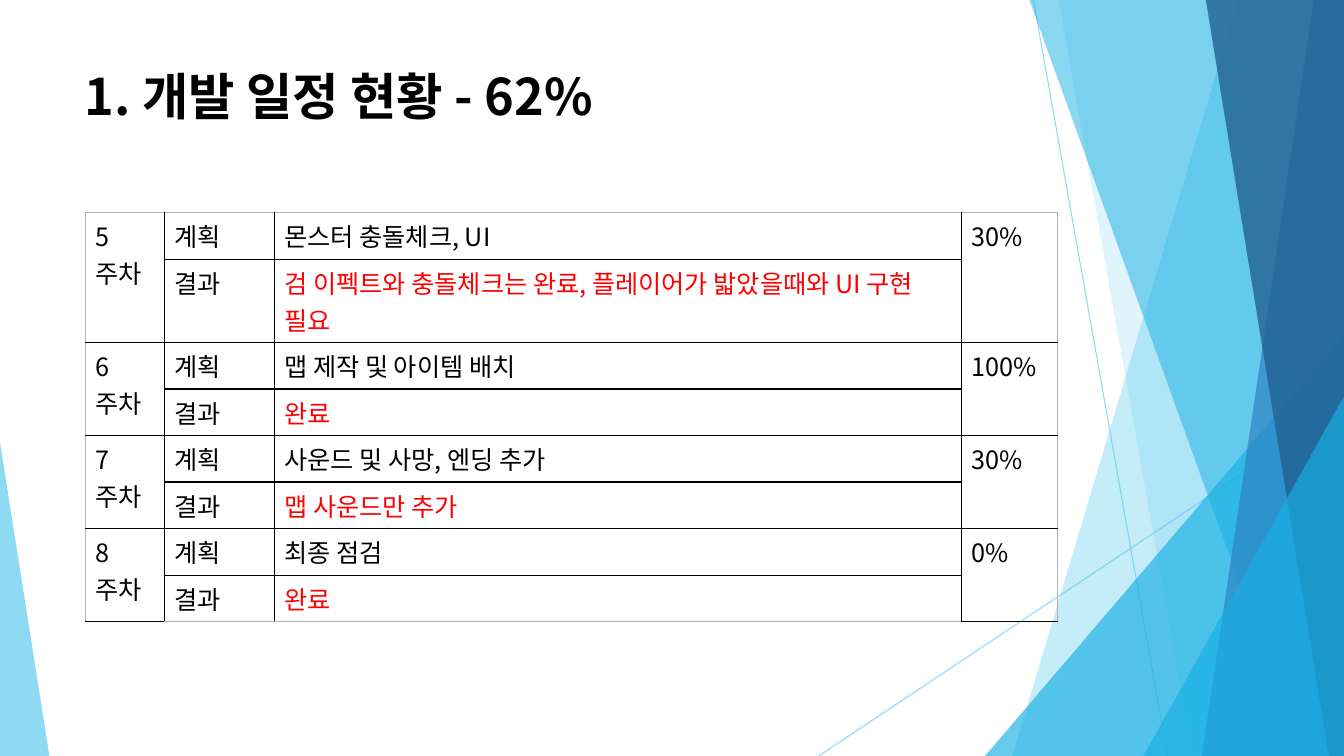
from dataclasses import dataclass

from lxml import etree
from pptx import Presentation
from pptx import util as u
from pptx.dml.color import RGBColor
from pptx.enum import shapes, text
from pptx.oxml import ns


@dataclass(frozen=True)
class Theme:
    font: str = "Noto Sans CJK KR"
    black: str = "000000"
    red: str = "FF0000"
    edge: str = "B2B2B2"
    sky: str = "5FCBEF"
    cyan: str = "17B0E4"
    blue: str = "2E83C3"
    navy: str = "226292"
    title: int = 36
    body: int = 18


T = Theme()
WIDTH, HEIGHT = 13.33, 7.5
COLUMNS = (0.78, 1.09, 6.82, 0.95)
ROW, TALL_ROW = 0.46, 0.82
WEEKS = (
    ("5주차", "몬스터 충돌체크, UI", "검 이펙트와 충돌체크는 완료, 플레이어가 밟았을때와 UI 구현 필요", "30%"),
    ("6주차", "맵 제작 및 아이템 배치", "완료", "100%"),
    ("7주차", "사운드 및 사망, 엔딩 추가", "맵 사운드만 추가", "30%"),
    ("8주차", "최종 점검", "완료", "0%"),
)


def set_alpha(sp, percent):
    color = sp._element.spPr.find(".//" + ns.qn("a:srgbClr"))
    etree.SubElement(color, ns.qn("a:alpha"), val=str(percent * 1000))


def paint(sp, color, percent):
    sp.shadow.inherit = False
    sp.fill.solid()
    sp.fill.fore_color.rgb = RGBColor.from_string(color)
    sp.line.fill.background()
    set_alpha(sp, percent)


def add_ray(s, *ends):
    c = s.shapes.add_connector(shapes.MSO_CONNECTOR.STRAIGHT, *map(u.Inches, ends))
    c.line.color.rgb = RGBColor.from_string(T.sky)
    c.line.width = u.Pt(0.75)
    set_alpha(c, 70)
    etree.SubElement(c._element.spPr, ns.qn("a:effectLst"))


def add_band(s, top_x, bottom_x, color, percent):
    corners = [(top_x, 0), (WIDTH, 0), (WIDTH, HEIGHT), (bottom_x, HEIGHT)]
    points = [(u.Inches(x), u.Inches(y)) for x, y in corners]
    builder = s.shapes.build_freeform(*points[0], scale=1.0)
    builder.add_line_segments(points[1:], close=True)
    paint(builder.convert_to_shape(), color, percent)


def add_wedge(s, left, top, width, apex, color, percent):
    box = map(u.Inches, (left, top, width, HEIGHT - top))
    sp = s.shapes.add_shape(shapes.MSO_SHAPE.ISOSCELES_TRIANGLE, *box)
    sp.adjustments[0] = apex
    paint(sp, color, percent)


def write(tf, words, size, color, bold=False):
    p = tf.paragraphs[0]
    r = p.add_run()
    r.text = words
    for name, value in dict(name=T.font, size=u.Pt(size), bold=bold).items():
        setattr(r.font, name, value)
    r.font.color.rgb = RGBColor.from_string(color)
    etree.SubElement(r._r.get_or_add_rPr(), ns.qn("a:ea"), typeface=T.font)
    return p


def add_title(s, words):
    tf = s.shapes.add_textbox(*map(u.Inches, (0.74, 0.67, 9.4, 1.44))).text_frame
    for name, value in dict(word_wrap=True, vertical_anchor=text.MSO_ANCHOR.TOP).items():
        setattr(tf, name, value)
    write(tf, words, T.title, T.black, True).line_spacing = 0.9


def set_borders(cell, outer):
    tc_pr = cell._tc.get_or_add_tcPr()
    for side in "LRTB":
        ln = etree.SubElement(tc_pr, ns.qn("a:ln" + side), w=str(u.Pt(1)))
        fill = etree.SubElement(ln, ns.qn("a:solidFill"))
        etree.SubElement(fill, ns.qn("a:srgbClr"), val=T.edge if side in outer else T.black)


def add_schedule(s):
    count = 2 * len(WEEKS)
    heights = [TALL_ROW if i == 1 else ROW for i in range(count)]
    box = map(u.Inches, (0.85, 2.11, sum(COLUMNS), sum(heights)))
    table = s.shapes.add_table(count, len(COLUMNS), *box).table
    table.first_row = table.horz_banding = False
    for column, width in zip(table.columns, COLUMNS):
        column.width = u.Inches(width)
    for row, height in zip(table.rows, heights):
        row.height = u.Inches(height)
    for i in range(count):
        for j in range(len(COLUMNS)):
            cell = table.cell(i, j)
            edges = dict(L=j == 0, R=j == len(COLUMNS) - 1, T=i == 0, B=i == count - 1)
            set_borders(cell, [side for side, on in edges.items() if on])
            cell.fill.background()
    for i, (week, plan, result, progress) in enumerate(WEEKS):
        top = 2 * i
        for j, words in ((0, week), (3, progress)):
            table.cell(top, j).merge(table.cell(top + 1, j))
            write(table.cell(top, j).text_frame, words, T.body, T.black)
        for k, (label, words, color) in enumerate((("계획", plan, T.black), ("결과", result, T.red))):
            write(table.cell(top + k, 1).text_frame, label, T.body, T.black)
            write(table.cell(top + k, 2).text_frame, words, T.body, color)


def add_backdrop(s):
    add_ray(s, 10.25, 0, 11.58, HEIGHT)
    add_ray(s, WIDTH, 4.03, 8.12, HEIGHT)
    add_band(s, 12.28, 10.04, T.sky, 36)
    add_band(s, 10.5, 11.83, T.sky, 20)
    add_wedge(s, 9.77, 3.33, 3.56, 1, T.cyan, 66)
    add_band(s, 10.21, 12.91, T.cyan, 50)
    add_band(s, 13.03, 11.92, T.blue, 70)
    add_band(s, 11.96, 13.18, T.navy, 80)
    add_wedge(s, 11.34, 3.93, 1.99, 1, T.cyan, 66)
    add_wedge(s, 0, 4.39, 0.49, 0, T.sky, 70)


def main():
    prs = Presentation()
    prs.slide_width, prs.slide_height = u.Inches(WIDTH), u.Inches(HEIGHT)
    s = prs.slides.add_slide(prs.slide_layouts[6])
    add_backdrop(s)
    add_schedule(s)
    add_title(s, "1. 개발 일정 현황 - 62%")
    prs.save("out.pptx")


if __name__ == "__main__":
    main()
